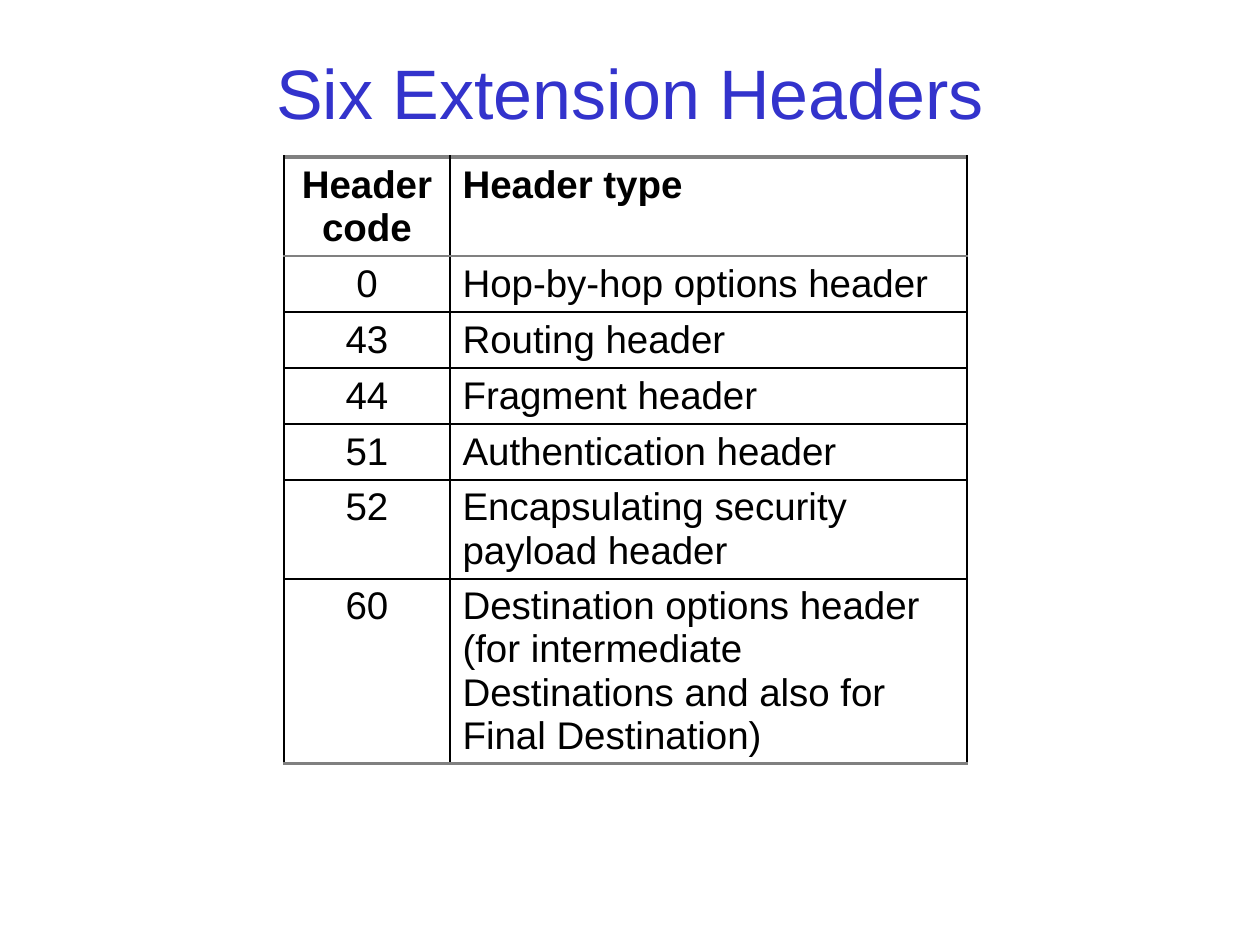
from lxml.etree import SubElement
from pptx import Presentation
from pptx.dml.color import RGBColor
from pptx.enum.text import MSO_ANCHOR, PP_ALIGN
from pptx.oxml.ns import qn
from pptx.util import Emu, Pt

PX_PER_INCH = 126
COLORS = {"title": "3333CC", "text": "000000", "line": "000000",
          "rule": "808080", "background": "FFFFFF"}
TITLE_FORMAT = {"name": "Arial", "size": Pt(40), "bold": False}
HEADER_FORMAT = {"name": "Arial", "size": Pt(22), "bold": True}
BODY_FORMAT = {**HEADER_FORMAT, "bold": False}

COLUMN_WIDTHS = [166, 517]
ROW_HEIGHTS = [99, 56, 56, 56, 56, 99, 183]
HEADERS = [
    ("Header code", "Header type"),
    ("0", "Hop-by-hop options header"),
    ("43", "Routing header"),
    ("44", "Fragment header"),
    ("51", "Authentication header"),
    ("52", "Encapsulating security payload header"),
    ("60", "Destination options header (for intermediate Destinations "
           "and also for Final Destination)"),
]


def px(length):
    return Emu(round(length * 914400 / PX_PER_INCH))


def rgb(name):
    return RGBColor.from_string(COLORS[name])


def write_text(text_frame, text, alignment, color, font_format):
    paragraph = text_frame.paragraphs[0]
    paragraph.alignment = alignment
    run = paragraph.add_run()
    run.text = text
    for attribute, value in font_format.items():
        setattr(run.font, attribute, value)
    run.font.color.rgb = rgb(color)


def add_title(slide, text):
    title = slide.shapes.title
    title.left, title.top, title.width, title.height = map(px, (63, 38, 1134, 107))
    title.fill.solid()
    title.fill.fore_color.rgb = rgb("background")
    title.text_frame.vertical_anchor = MSO_ANCHOR.MIDDLE
    write_text(title.text_frame, text, PP_ALIGN.CENTER, "title", TITLE_FORMAT)


def set_borders(cell, top, bottom):
    """Draw the four cell borders; top and bottom are (color, points)."""
    properties = cell._tc.get_or_add_tcPr()
    side = ("line", 1)
    borders = {"a:lnL": side, "a:lnR": side, "a:lnT": top, "a:lnB": bottom}
    for tag, (color, points) in borders.items():
        line = SubElement(properties, qn(tag), w=str(Pt(points)))
        fill = SubElement(line, qn("a:solidFill"))
        SubElement(fill, qn("a:srgbClr"), val=COLORS[color])


def add_header_table(slide, left, top):
    frame = slide.shapes.add_table(
        len(HEADERS), len(COLUMN_WIDTHS), px(left), px(top),
        px(sum(COLUMN_WIDTHS)), px(sum(ROW_HEIGHTS)))
    table = frame.table
    table.first_row = table.horz_banding = False
    for column, width in zip(table.columns, COLUMN_WIDTHS):
        column.width = px(width)
    for row, height in zip(table.rows, ROW_HEIGHTS):
        row.height = px(height)

    # Grey rules frame the table and close the heading row
    rules = [("rule", 2), ("rule", 1)]
    rules += [("line", 1)] * (len(HEADERS) - 2) + [("rule", 2)]
    alignments = (PP_ALIGN.CENTER, PP_ALIGN.LEFT)
    for row_index, texts in enumerate(HEADERS):
        font_format = BODY_FORMAT if row_index else HEADER_FORMAT
        for column_index, text in enumerate(texts):
            cell = table.cell(row_index, column_index)
            set_borders(cell, rules[row_index], rules[row_index + 1])
            cell.fill.background()
            write_text(cell.text_frame, text, alignments[column_index],
                       "text", font_format)
    table.cell(1, 0).vertical_anchor = MSO_ANCHOR.MIDDLE


def main():
    presentation = Presentation()
    presentation.slide_width, presentation.slide_height = px(1260), px(945)
    title_only = presentation.slide_layouts[5]
    slide = presentation.slides.add_slide(title_only)
    add_title(slide, "Six Extension Headers")
    add_header_table(slide, 284, 157)
    presentation.save("out.pptx")


if __name__ == "__main__":
    main()
